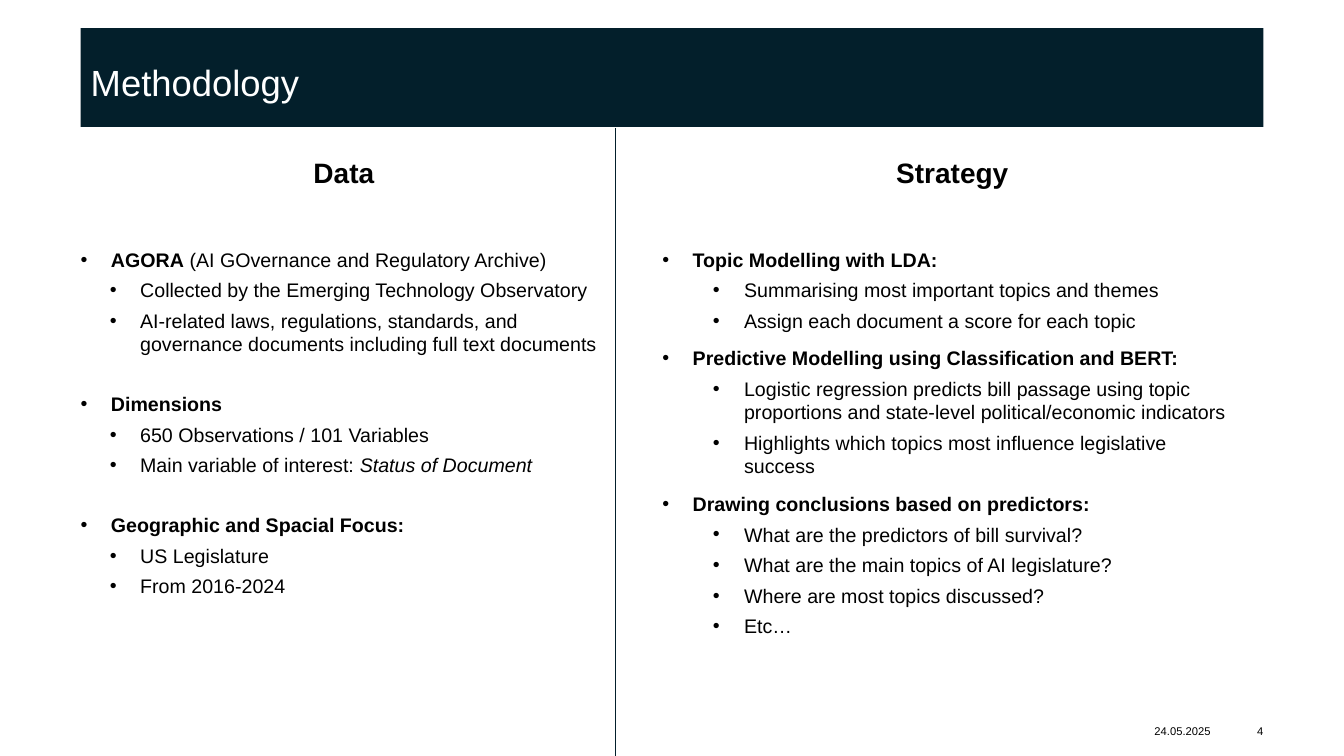
from lxml import etree
from pptx import Presentation
from pptx.dml.color import RGBColor
from pptx.enum.shapes import MSO_CONNECTOR
from pptx.enum.text import MSO_ANCHOR as Anchor, MSO_AUTO_SIZE as AutoSize, PP_ALIGN as Align
from pptx.oxml.ns import qn
from pptx.util import Inches, Pt

# Each topic: heading spans, then points; a span is (text, style)
DATA = [
    ([("AGORA", "bold"), (" (AI GOvernance and Regulatory Archive)", "")],
     [[("Collected by the Emerging Technology Observatory", "")],
      [("AI-related laws, regulations, standards, and governance documents "
        "including full text documents", "")]]),
    ([("Dimensions", "bold")],
     [[("650 Observations / 101 Variables", "")],
      [("Main variable of interest: ", ""), ("Status of Document", "italic")]]),
    ([("Geographic and Spacial Focus:", "bold")],
     [[("US Legislature", "")], [("From 2016-2024", "")]]),
]
STRATEGY = [
    ([("Topic Modelling with LDA:", "bold")],
     [[("Summarising most important topics and themes", "")],
      [("Assign each document a score for each topic", "")]]),
    ([("Predictive Modelling using Classification and BERT:", "bold")],
     [[("Logistic regression predicts bill passage using topic proportions "
        "and state-level political/economic indicators", "")],
      [("Highlights which topics most influence legislative success", "")]]),
    ([("Drawing conclusions based on predictors:", "bold")],
     [[("What are the predictors of bill survival?", "")],
      [("What are the main topics of AI legislature?", "")],
      [("Where are most topics discussed?", "")],
      [("Etc…", "")]]),
]


def color(value):
    return RGBColor.from_string(value)


class SlideBuilder:
    FONT, NAVY, BLACK, WHITE = "Arial", "031F2B", "000000", "FFFFFF"

    def __init__(self, deck):
        self.page = deck.slides.add_slide(deck.slide_layouts[5])

    def set_font(self, para, size, ink=BLACK, bold=False):
        para.font.name = self.FONT
        para.font.size = Pt(size)
        para.font.color.rgb = color(ink)
        para.font.bold = bold

    def set_frame(self, frame, anchor):
        frame.word_wrap = True
        frame.auto_size = AutoSize.NONE
        frame.vertical_anchor = anchor
        frame.margin_left = frame.margin_right = 0
        frame.margin_top = frame.margin_bottom = 0

    def title(self, text, left, top, width, height):
        box = self.page.shapes.title
        box.left, box.top = Inches(left), Inches(top)
        box.width, box.height = Inches(width), Inches(height)
        box.fill.solid()
        box.fill.fore_color.rgb = color(self.NAVY)
        frame = box.text_frame
        self.set_frame(frame, Anchor.TOP)
        frame.margin_left, frame.margin_top = Inches(0.1), Inches(0.37)
        para = frame.paragraphs[0]
        para.text = text
        para.alignment = Align.LEFT
        para.line_spacing = 0.9
        self.set_font(para, 26, self.WHITE)

    def text_box(self, left, top, width, height, anchor=Anchor.TOP):
        box = self.page.shapes.add_textbox(
            Inches(left), Inches(top), Inches(width), Inches(height))
        self.set_frame(box.text_frame, anchor)
        return box.text_frame

    def label(self, text, left, top, width, height, align):
        para = self.text_box(left, top, width, height, Anchor.MIDDLE).paragraphs[0]
        para.text = text
        para.alignment = align
        self.set_font(para, 8)

    def bullet(self, frame, spans, level, margin, hanging, before):
        para = frame.add_paragraph()
        para.level = level
        para.space_before = Pt(before)
        props = para._p.get_or_add_pPr()
        props.set("marL", str(Inches(margin)))
        props.set("indent", str(-Inches(hanging)))
        etree.SubElement(props, qn("a:buFont")).set("typeface", self.FONT)
        etree.SubElement(props, qn("a:buChar")).set("char", "•")
        self.set_font(para, 14)
        for text, style in spans:
            span = para.add_run()
            span.text = text
            if style:
                span.font.bold = style == "bold"
                span.font.italic = style == "italic"

    def column(self, heading, topics, left, width, topic_gap, point_margin, point_hanging):
        frame = self.text_box(left, 1.54, width, 5.31)
        para = frame.paragraphs[0]
        para.text = heading
        para.alignment = Align.CENTER
        self.set_font(para, 20, bold=True)
        for index, (topic, points) in enumerate(topics):
            self.bullet(frame, topic, 0, 0.3, 0.3, topic_gap if index else 42)
            for point in points:
                self.bullet(frame, point, 1, point_margin, point_hanging, 5)

    def line(self, x1, y1, x2, y2):
        line = self.page.shapes.add_connector(
            MSO_CONNECTOR.STRAIGHT, Inches(x1), Inches(y1), Inches(x2), Inches(y2))
        line.line.color.rgb = color(self.NAVY)
        line.line.width = Pt(0.5)
        etree.SubElement(line._element.spPr, qn("a:effectLst"))


def main():
    deck = Presentation()
    deck.slide_width, deck.slide_height = Inches(13.33), Inches(7.5)
    slide = SlideBuilder(deck)

    # Title bar
    slide.title("Methodology", 0.8, 0.28, 11.73, 0.98)

    # Two columns and the divider between them
    slide.column("Data", DATA, 0.8, 5.22, 26, 0.59, 0.3)
    slide.column("Strategy", STRATEGY, 6.57, 5.75, 10, 0.81, 0.31)
    slide.line(6.1, 1.27, 6.1, 7.5)

    # Footer
    slide.label("24.05.2025", 11.45, 7.13, 0.67, 0.24, Align.LEFT)
    slide.label("4", 12.18, 7.13, 0.35, 0.24, Align.RIGHT)

    deck.save("out.pptx")


if __name__ == "__main__":
    main()
